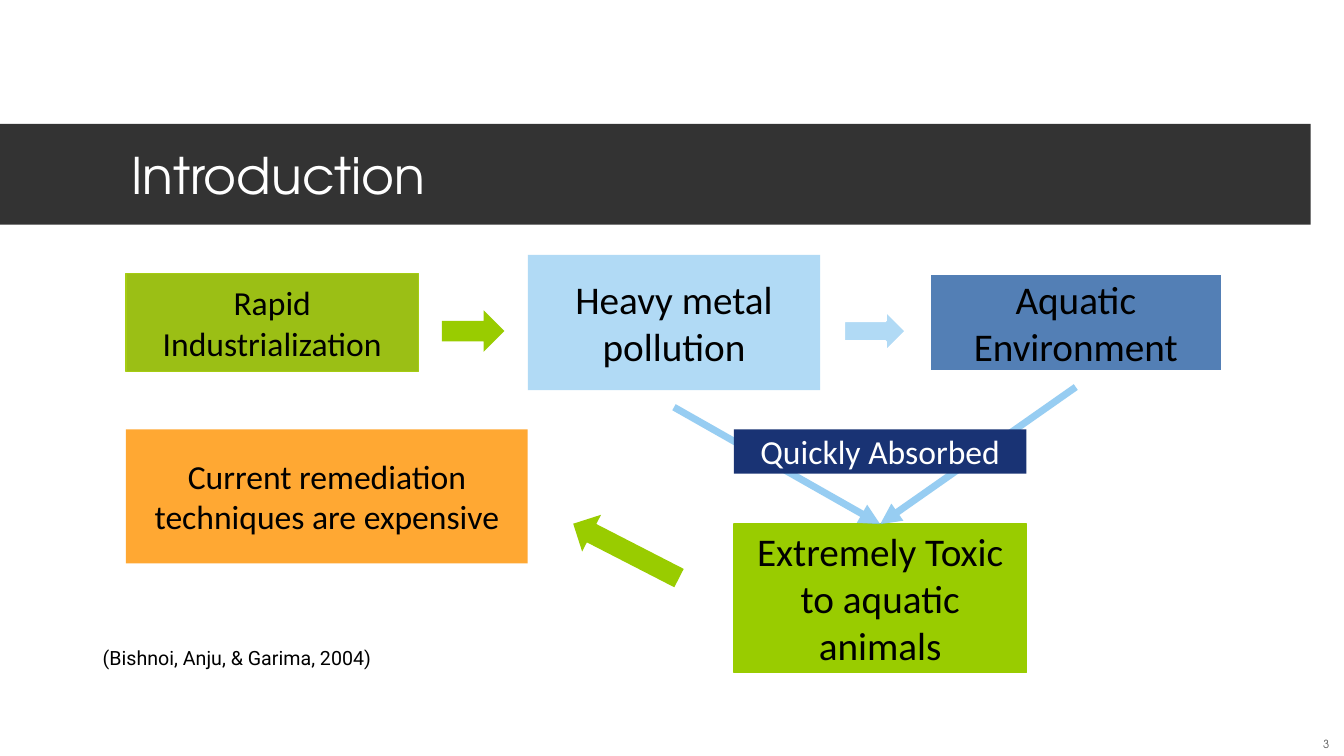
import pptx
import pptx.dml.color
import pptx.enum.shapes
import pptx.enum.text
import pptx.util
from lxml import etree
from pptx.oxml.ns import qn

SHAPE = pptx.enum.shapes.MSO_SHAPE
ALIGN = pptx.enum.text.PP_ALIGN
ANCHOR = pptx.enum.text.MSO_ANCHOR
IN = pptx.util.Inches

HEADING_FONT = "TeX Gyre Adventor"
LEFT, BOX_W, ARROW_W, ARROW_H = 1.25, 2.9, 0.62, 0.41
STEP = 3.985          # distance between the columns of the top row
TOP_MID = 3.2         # centre line of the top row
LOWER_TOP = 4.26      # top of the second row
TOXIC_X, TOXIC_Y = 7.28, 5.2


def column(i):
    return LEFT + i * STEP


def rgb(color):
    return pptx.dml.color.RGBColor.from_string(color)


def style_text(p, size, font, color, align=ALIGN.CENTER):
    p.alignment = align
    p.font.size = pptx.util.Pt(size)
    p.font.name = font
    p.font.color.rgb = rgb(color)


def add_block(s, kind, x, y, w, h, fill, line=None, line_w=1):
    sp = s.shapes.add_shape(kind, IN(x), IN(y), IN(w), IN(h))
    sp.shadow.inherit = False
    sp.fill.solid()
    sp.fill.fore_color.rgb = rgb(fill)
    if line:
        sp.line.color.rgb = rgb(line)
        sp.line.width = pptx.util.Pt(line_w)
    else:
        sp.line.fill.background()
    return sp


def add_box(s, text, x, y, w, h, fill, size, color="000000", line=None, line_w=1):
    sp = add_block(s, SHAPE.RECTANGLE, x, y, w, h, fill, line, line_w)
    tf = sp.text_frame
    tf.word_wrap = True
    tf.vertical_anchor = ANCHOR.MIDDLE
    tf.text = text
    style_text(tf.paragraphs[0], size, "Calibri", color)
    return sp


def add_label(s, x, y, w, h, wrap):
    tf = s.shapes.add_textbox(IN(x), IN(y), IN(w), IN(h)).text_frame
    tf.word_wrap = wrap
    return tf


def add_pointer(s, x, y, target):
    """Line with an arrowhead that ends at the top of the target box."""
    cx = s.shapes.add_connector(pptx.enum.shapes.MSO_CONNECTOR.STRAIGHT,
                                IN(x), IN(y), IN(x), IN(y))
    cx.end_connect(target, 0)
    cx.line.color.rgb = rgb("7DC1EF")
    cx.line.width = pptx.util.Pt(5)
    ln = cx.line._get_or_add_ln()
    etree.SubElement(ln.find(".//" + qn("a:srgbClr")), qn("a:alpha"), val="80000")
    etree.SubElement(ln, qn("a:tailEnd"), type="triangle")
    etree.SubElement(cx._element.spPr, qn("a:effectLst"))


def add_title(s, text):
    sp = s.shapes.title
    sp.left, sp.top, sp.width, sp.height = IN(0), IN(1.23), IN(13), IN(1)
    sp.fill.solid()
    sp.fill.fore_color.rgb = rgb("333333")
    tf = sp.text_frame
    tf.text = text
    tf.vertical_anchor = ANCHOR.MIDDLE
    tf.margin_left, tf.margin_right = IN(1.3), IN(0.3)
    style_text(tf.paragraphs[0], 36, HEADING_FONT, "FFFFFF", ALIGN.LEFT)


def add_slide_number(s, number):
    tf = add_label(s, 12.82, 7.18, 0.67, 0.4, True)
    tf.vertical_anchor = ANCHOR.MIDDLE
    tf.text = number
    style_text(tf.paragraphs[0], 8, HEADING_FONT, "595959")


def main():
    prs = pptx.Presentation()
    prs.slide_width, prs.slide_height = IN(13.33), IN(7.5)
    s = prs.slides.add_slide(prs.slide_layouts[5])
    add_title(s, "Introduction")
    add_slide_number(s, "3")

    # Top row: causes, centred on one line
    for i, (text, h, fill, size, line, line_w) in enumerate([
            ("Rapid Industrialization", 0.97, "9BBF15", 24, "A5CC12", 1),
            ("Heavy metal pollution", 1.34, "B1DAF5", 28, None, 0),
            ("Aquatic Environment", 0.97, "537FB5", 28, "FFFFFF", 2)]):
        add_box(s, text, column(i), TOP_MID - h / 2, BOX_W, h, fill, size,
                line=line, line_w=line_w)

    # Block arrows centred in the gaps of the top row
    for i, (fill, line) in enumerate([("99CC00", None), ("B1DAF5", "FFFFFF")]):
        gap_mid = (column(i) + BOX_W + column(i + 1)) / 2
        add_block(s, SHAPE.RIGHT_ARROW, gap_mid - ARROW_W / 2, 3.08,
                  ARROW_W, ARROW_H, fill, line, 2)

    # Effect on animals, with the lines that lead to it
    toxic = add_box(s, "Extremely Toxic to aquatic animals", TOXIC_X, TOXIC_Y,
                    BOX_W, 1.47, "99CC00", 28, line="99CC00")
    add_pointer(s, column(1) + BOX_W / 2, 4.04, toxic)
    add_pointer(s, column(2) + BOX_W / 2, 3.84, toxic)
    add_box(s, "Quickly Absorbed", TOXIC_X, LOWER_TOP, BOX_W, 0.44,
            "193374", 24, "FFFFFF")

    # Consequence for remediation
    add_box(s, "Current remediation techniques are expensive", LEFT, LOWER_TOP,
            STEP, 1.33, "FFA833", 24)
    back = add_block(s, SHAPE.RIGHT_ARROW, 5.62, 5.26, 1.18, ARROW_H, "99CC00")
    back.rotation = 207.2

    # Citation
    tf = add_label(s, 0.92, 6.36, 2.95, 0.34, False)
    tf.text = "(Bishnoi, Anju, & Garima, 2004)"
    style_text(tf.paragraphs[0], 14, "Roboto", "000000", ALIGN.LEFT)

    prs.save("out.pptx")


if __name__ == "__main__":
    main()
